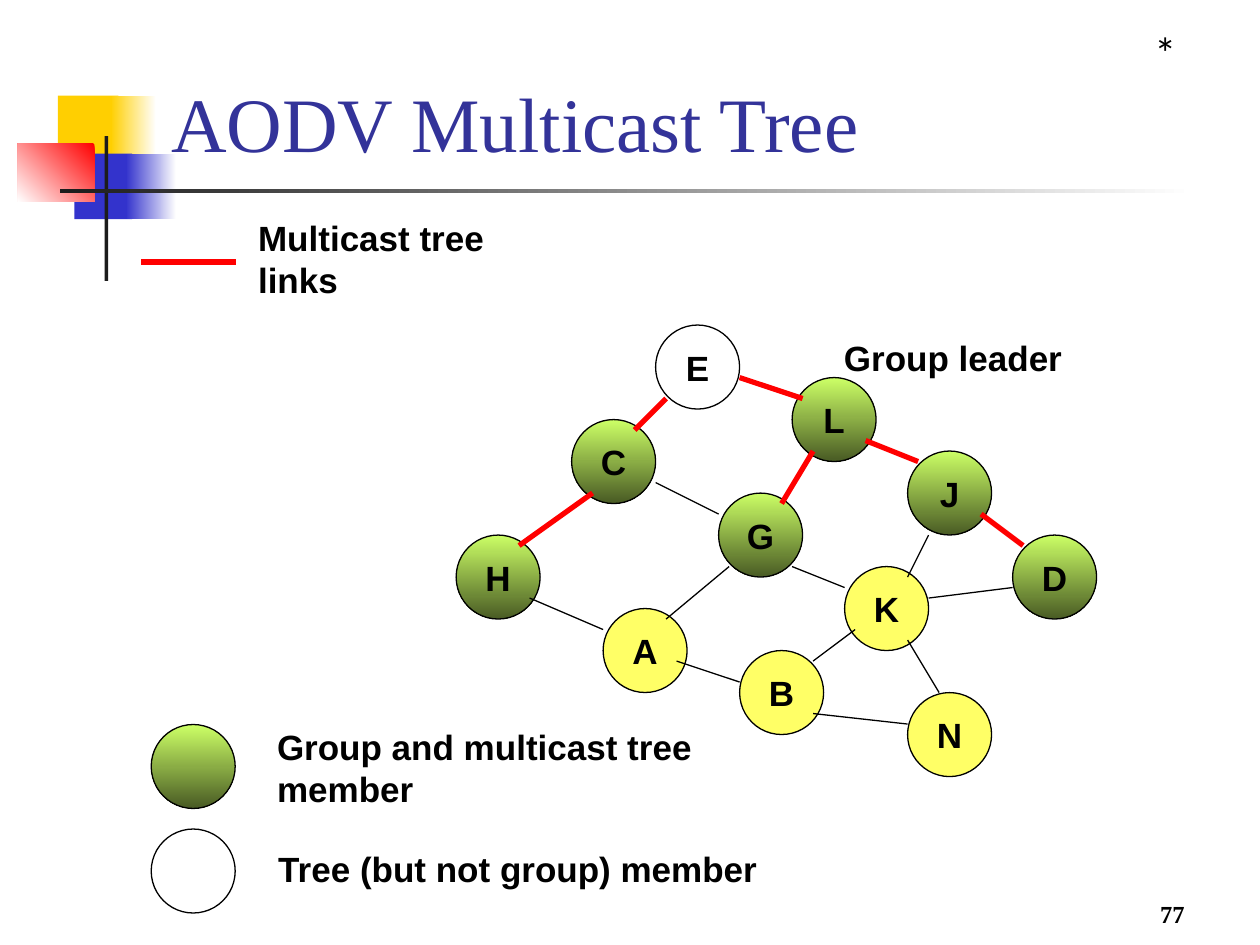
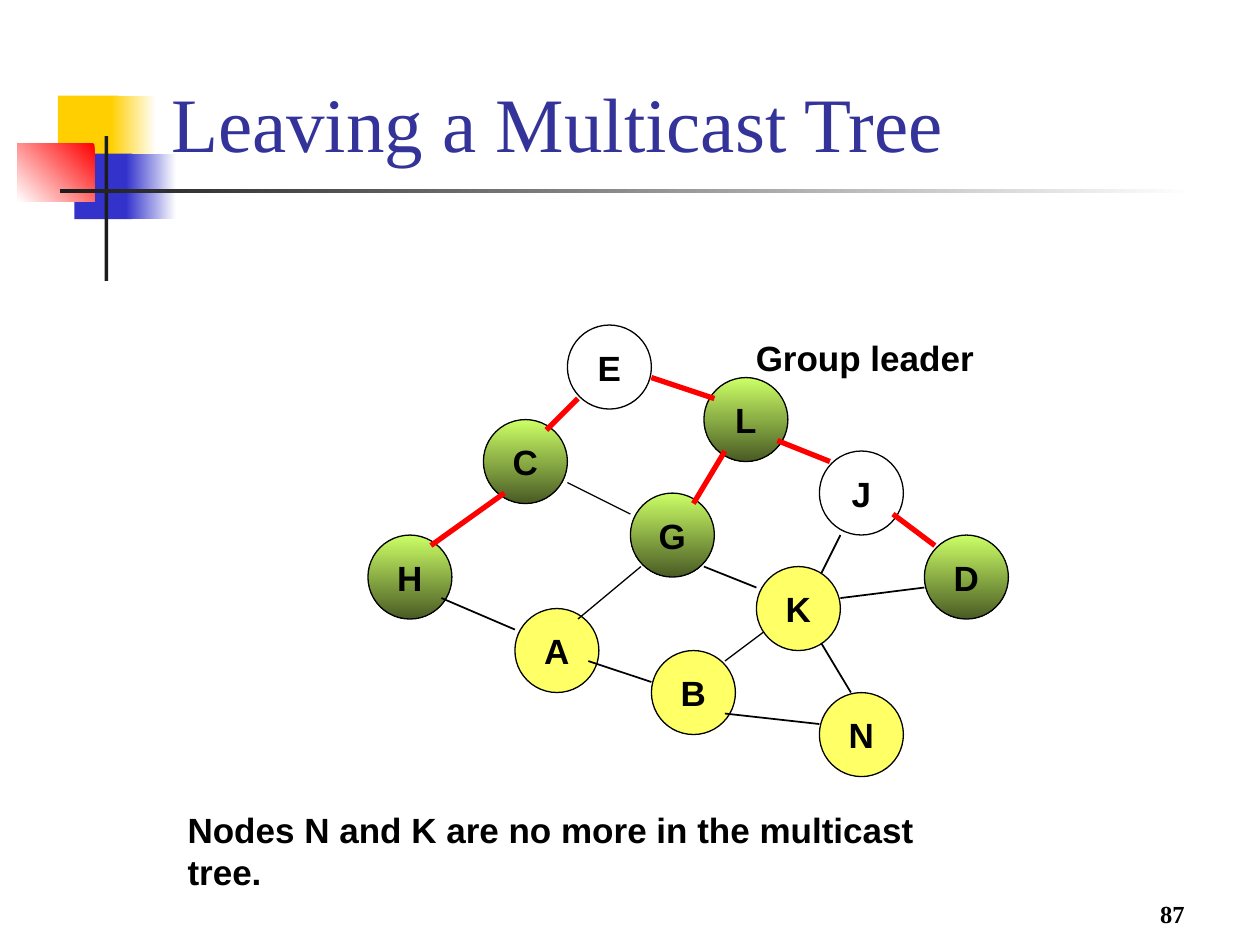
"""Build two slides about multicast trees in AODV."""
from dataclasses import dataclass

from lxml import etree
from pptx import Presentation
from pptx.dml.color import RGBColor
from pptx.enum import shapes, text
from pptx.oxml.ns import qn
from pptx.util import Inches, Pt


@dataclass(frozen=True)
class Theme:
    """Colours, fonts, type sizes and line widths of the slides."""
    white: str = "FFFFFF"
    black: str = "000000"
    ink: str = "1C1C1C"
    title: str = "333399"
    gold: str = "FFCF01"
    blue: str = "3333CC"
    red: str = "FF0000"
    outsider: str = "FFFF66"
    member: tuple = ("CCFF66", "495B24", 90)
    serif: str = "Times New Roman"
    sans: str = "Arial"
    mark_font: str = "Lato"
    title_size: int = 44
    label_size: int = 20
    mark_size: int = 24
    number_size: int = 14
    outline: float = 0.75
    tree_line: float = 3


THEME = Theme()
GRID = 1 / 12
NODE_SIZE = 8 * GRID
LABEL_HEIGHT = 0.44

NODES = {
    "E": (19, 0), "L": (32, 5), "H": (0, 20), "J": (43, 12),
    "D": (53, 20), "C": (11, 9), "G": (25, 16), "A": (14, 27),
    "B": (27, 31), "K": (37, 23), "N": (43, 35),
}
TREE_LINKS = {
    "CH": (13, 16, 6, 21), "EC": (20, 7, 17, 10), "EL": (27, 5, 33, 7),
    "LG": (34, 12, 31, 17), "LJ": (39, 11, 44, 13), "JD": (50, 18, 54, 21),
}
OTHER_LINKS = {
    "GA": (26, 23, 20, 28), "CG": (19, 15, 25, 18), "HA": (7, 26, 14, 29),
    "GK": (32, 23, 37, 25), "DK": (53, 25, 45, 26), "NK": (46, 35, 43, 30),
    "BA": (27, 34, 21, 32), "BN": (34, 37, 43, 38), "KB": (38, 29, 34, 32),
    "JK": (45, 20, 43, 24),
}


def rgb(value):
    """Turn a hex string into a colour."""
    return RGBColor.from_string(value)


def paint(shape, fill):
    """Fill a shape with nothing, a colour, or a (start, end, clockwise angle) gradient."""
    if fill is None:
        shape.fill.background()
    elif isinstance(fill, str):
        shape.fill.solid()
        shape.fill.fore_color.rgb = rgb(fill)
    else:
        start, end, angle = fill
        shape.fill.gradient()
        shape.fill.gradient_angle = 360 - angle
        for stop, colour in zip(shape.fill.gradient_stops, (start, end)):
            stop.color.rgb = rgb(colour)


def add_figure(slide, kind, box, fill, outline=None):
    """Add a preset shape without shadow."""
    shape = slide.shapes.add_shape(kind, *map(Inches, box))
    shape.shadow.inherit = False
    paint(shape, fill)
    if outline:
        shape.line.color.rgb = rgb(outline)
        shape.line.width = Pt(THEME.outline)
    else:
        shape.line.fill.background()
    return shape


def write(shape, words, size, font=THEME.sans, colour=THEME.black, bold=True,
          align=text.PP_ALIGN.LEFT, anchor=text.MSO_ANCHOR.MIDDLE, wrap=False):
    """Put one styled paragraph in a shape."""
    frame = shape.text_frame
    frame.word_wrap = wrap
    frame.vertical_anchor = anchor
    paragraph = frame.paragraphs[0]
    paragraph.text = words
    paragraph.alignment = align
    paragraph.font.name = font
    paragraph.font.size = Pt(size)
    paragraph.font.bold = bold
    paragraph.font.color.rgb = rgb(colour)


def add_text(slide, box, words, size, **style):
    """Add a text box."""
    shape = slide.shapes.add_textbox(*map(Inches, box))
    write(shape, words, size, **style)


def add_label(slide, left, top, width, words):
    """Add a bold one-line label."""
    add_text(slide, (left, top, width, LABEL_HEIGHT), words, THEME.label_size)


def add_line(slide, ends, colour, width):
    """Add a straight line between two points."""
    line = slide.shapes.add_connector(shapes.MSO_CONNECTOR.STRAIGHT, *map(Inches, ends))
    line.line.color.rgb = rgb(colour)
    line.line.width = Pt(width)
    etree.SubElement(line._element.spPr, qn("a:effectLst"))


def add_node(slide, left, top, fill, name=""):
    """Add a network node with its letter."""
    node = add_figure(slide, shapes.MSO_SHAPE.OVAL, (left, top, NODE_SIZE, NODE_SIZE),
                      fill, THEME.black)
    if name:
        write(node, name, THEME.label_size, align=text.PP_ALIGN.CENTER)


def add_emblem(slide, left, top):
    """Draw the coloured blocks and the crossing rules beside the title."""
    parts = [
        ((0.32, 0, 0.48, 0.52), THEME.gold),
        ((0.74, 0, 0.36, 0.52), (THEME.white, THEME.gold, 180)),
        ((0.45, 0.46, 0.46, 0.52), THEME.blue),
        ((0.86, 0.46, 0.4, 0.52), (THEME.white, THEME.blue, 180)),
        ((0, 0.38, 0.61, 0.46), (THEME.red, THEME.white, 135)),
        ((0.69, 0.32, 0.03, 1.15), THEME.ink),
        ((0.34, 0.74, 9, 0.03), (THEME.white, THEME.ink, 180)),
    ]
    for (x, y, width, height), fill in parts:
        add_figure(slide, shapes.MSO_SHAPE.RECTANGLE, (left + x, top + y, width, height), fill)


def add_base_slide(presentation, title, number):
    """Add a slide with emblem, title and slide number."""
    slide = presentation.slides.add_slide(presentation.slide_layouts[6])
    add_emblem(slide, 0.14, 0.76)
    add_text(slide, (1.26, 0.13, 8.52, 1.25), title, THEME.title_size, font=THEME.serif,
             colour=THEME.title, bold=False, anchor=text.MSO_ANCHOR.BOTTOM, wrap=True)
    add_text(slide, (7.42, 6.92, 2.08, 0.5), number, THEME.number_size, font=THEME.serif,
             align=text.PP_ALIGN.RIGHT, anchor=text.MSO_ANCHOR.BOTTOM, wrap=True)
    return slide


def add_network(slide, left, top, tree_only, raised="", heavy=()):
    """Draw the network, with raised nodes above the links and heavy links at 1 pt."""
    def place(*steps):
        """Turn grid steps into slide positions."""
        return [(left, top)[i % 2] + step * GRID for i, step in enumerate(steps)]

    def draw_nodes(names):
        """Draw the named nodes, filled by their role."""
        for name in names:
            fill = THEME.outsider if name in "AKBN" else THEME.member
            add_node(slide, *place(*NODES[name]), None if name in tree_only else fill, name)

    draw_nodes(name for name in NODES if name not in raised)
    for ends in TREE_LINKS.values():
        add_line(slide, place(*ends), THEME.red, THEME.tree_line)
    for pair, ends in OTHER_LINKS.items():
        add_line(slide, place(*ends), THEME.black, 1 if pair in heavy else THEME.outline)
    draw_nodes(raised)
    add_label(slide, left + 2.98, top + 0.04, 1.93, "Group leader")


def add_legend(slide, left, top):
    """Explain the two kinds of tree node."""
    entries = [
        (THEME.member, 0, 0.9, 0.12, 4.65, "Group and multicast tree member"),
        (None, 0.83, 0.91, 0.92, 4.02, "Tree (but not group) member"),
    ]
    for fill, node_y, label_x, label_y, width, words in entries:
        add_node(slide, left, top + node_y, fill)
        add_label(slide, left + label_x, top + label_y, width, words)


def add_link_key(slide, left, top):
    """Explain the red links."""
    add_line(slide, (left, top + 0.25, left + 0.75, top + 0.25), THEME.red, THEME.tree_line)
    add_label(slide, left + 0.83, top, 2.7, "Multicast tree links")


def add_tree_slide(presentation):
    """Build the slide that shows the multicast tree."""
    slide = add_base_slide(presentation, "AODV Multicast Tree", "77")
    add_network(slide, 3.62, 2.58, tree_only="E")
    add_legend(slide, 1.2, 5.75)
    add_link_key(slide, 1.12, 1.83)
    add_text(slide, (9.08, 0.17, 0.58, 0.5), "*", THEME.mark_size, font=THEME.mark_font,
             bold=False, anchor=text.MSO_ANCHOR.TOP, wrap=True)


def add_leaving_slide(presentation):
    """Build the slide that shows nodes leaving the tree."""
    slide = add_base_slide(presentation, "Leaving a Multicast Tree", "87")
    add_network(slide, 2.92, 2.58, tree_only="EJ", raised="KN",
                heavy=("HA", "GK", "DK", "NK", "BA", "BN", "JK"))
    add_label(slide, 1.39, 6.53, 6.63, "Nodes N and K are no more in the multicast tree.")


def main():
    """Build and save the presentation."""
    presentation = Presentation()
    presentation.slide_width = Inches(10)
    presentation.slide_height = Inches(7.5)
    add_tree_slide(presentation)
    add_leaving_slide(presentation)
    presentation.save("out.pptx")


if __name__ == "__main__":
    main()
